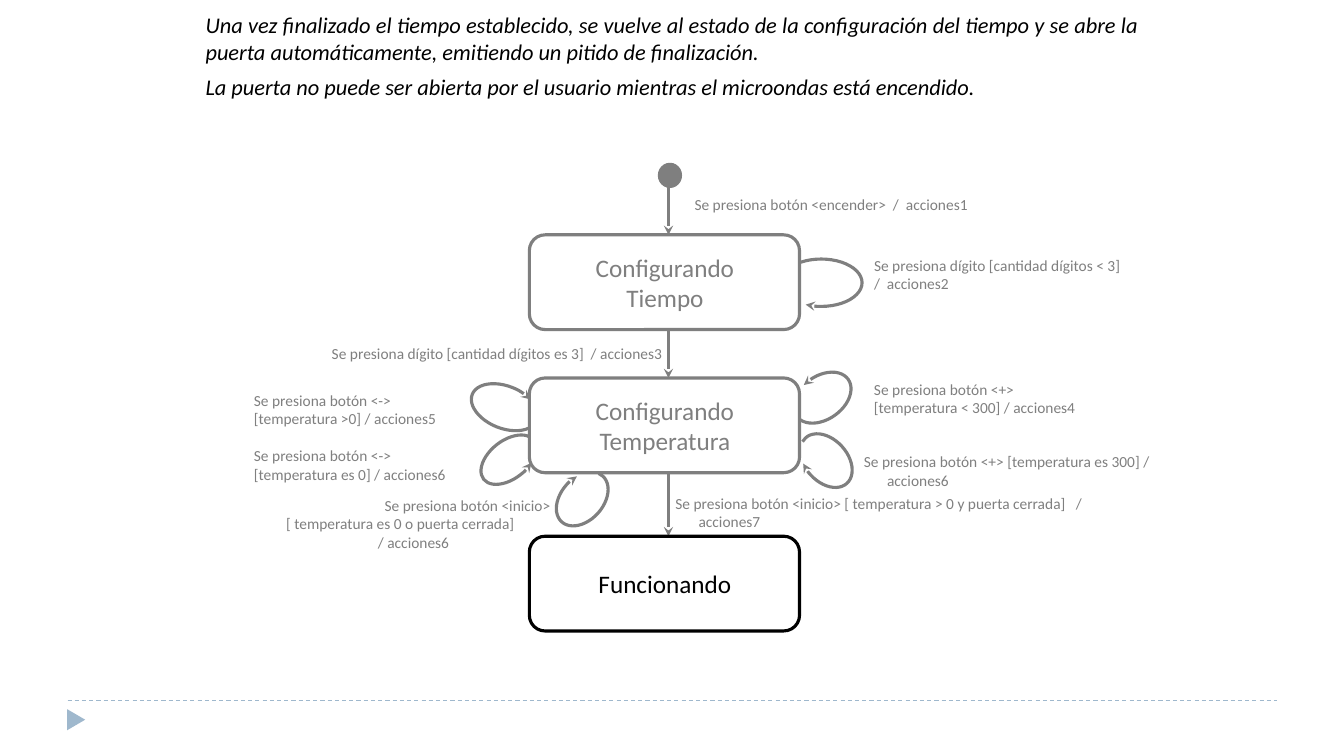
from pptx import Presentation
from pptx.dml.color import RGBColor
from pptx.enum.dml import MSO_LINE
from pptx.enum.shapes import MSO_CONNECTOR, MSO_SHAPE
from pptx.enum.text import MSO_ANCHOR, MSO_AUTO_SIZE, PP_ALIGN
from pptx.oxml.ns import qn
from pptx.util import Inches, Pt
from lxml.etree import SubElement

GRAY = RGBColor(0x7F, 0x7F, 0x7F)
BLACK = RGBColor(0, 0, 0)
BLUE = RGBColor(0x9F, 0xB8, 0xCD)
FONT = "Calibri"

STATE_X, STATE_W, STATE_H = 5.25, 2.68, 0.94
FLOW_X = 6.63
RIGHT = PP_ALIGN.RIGHT


def add_arrowhead(line, end):
    SubElement(line._get_or_add_ln(), qn(f"a:{end}"), type="stealth")


def format_line(line, color, width=2.25):
    line.color.rgb = color
    line.width = Pt(width)


def write_paragraph(p, text, size=11, color=GRAY, align=PP_ALIGN.LEFT,
                    italic=False, margin=0.24, indent=-0.23, before=0):
    p.alignment = align
    p.space_before = Pt(before)
    pPr = p._p.get_or_add_pPr()
    pPr.set("marL", str(Inches(margin)))
    pPr.set("indent", str(Inches(indent)))
    r = p.add_run()
    r.text = text
    r.font.name = FONT
    r.font.size = Pt(size)
    r.font.italic = italic
    r.font.color.rgb = color


def write_lines(tf, lines, **fmt):
    """Each line is a text, or a text with its own format."""
    tf.word_wrap = True
    for i, line in enumerate(lines):
        text, own = (line, {}) if isinstance(line, str) else line
        p = tf.add_paragraph() if i else tf.paragraphs[0]
        write_paragraph(p, text, **{**fmt, **own})


def add_label(s, x, y, w, h, *lines, **fmt):
    tf = s.shapes.add_textbox(Inches(x), Inches(y), Inches(w), Inches(h)).text_frame
    tf.auto_size = MSO_AUTO_SIZE.SHAPE_TO_FIT_TEXT
    write_lines(tf, lines, **fmt)


def add_preset(s, kind, x, y, w, h, fill=None):
    sp = s.shapes.add_shape(kind, Inches(x), Inches(y), Inches(w), Inches(h))
    sp.shadow.inherit = False
    if fill is None:
        sp.fill.background()
    else:
        sp.fill.solid()
        sp.fill.fore_color.rgb = fill
    return sp


def add_state(s, y, *lines, color=GRAY):
    sp = add_preset(s, MSO_SHAPE.ROUNDED_RECTANGLE, STATE_X, y, STATE_W, STATE_H)
    format_line(sp.line, color)
    sp.text_frame.vertical_anchor = MSO_ANCHOR.MIDDLE
    write_lines(sp.text_frame, lines, size=18, color=color, align=PP_ALIGN.CENTER)


def add_loop(s, x, y, w, h, start, end, rotation=0, flip=False):
    sp = add_preset(s, MSO_SHAPE.ARC, x, y, w, h)
    sp.adjustments[0] = start
    sp.adjustments[1] = end
    sp.rotation = rotation
    if flip:
        sp._element.spPr.find(qn("a:xfrm")).set("flipH", "1")
    format_line(sp.line, GRAY)
    add_arrowhead(sp.line, "headEnd")


def add_line(s, x1, y1, x2, y2, color, width):
    c = s.shapes.add_connector(MSO_CONNECTOR.STRAIGHT, Inches(x1), Inches(y1),
                               Inches(x2), Inches(y2))
    format_line(c.line, color, width)
    SubElement(c._element.spPr, qn("a:effectLst"))
    return c


def add_transition(s, y1, y2):
    c = add_line(s, FLOW_X, y1, FLOW_X, y2, GRAY, 2.25)
    add_arrowhead(c.line, "tailEnd")


def add_footer(s):
    rule = add_line(s, 0.67, 6.95, 12.67, 6.95, BLUE, 0.75)
    rule.line.dash_style = MSO_LINE.DASH
    marker = add_preset(s, MSO_SHAPE.ISOSCELES_TRIANGLE, 0.65, 7.05, 0.21, 0.18, BLUE)
    marker.rotation = 90
    marker.line.fill.background()


def main():
    prs = Presentation()
    prs.slide_width, prs.slide_height = Inches(13.33), Inches(7.5)
    s = prs.slides.add_slide(prs.slide_layouts[6])
    add_footer(s)

    # Description
    add_label(s, 1.94, 0.06, 9.45, 0.99,
              "Una vez finalizado el tiempo establecido, se vuelve al estado de la "
              "configuración del tiempo y se abre la puerta automáticamente, "
              "emitiendo un pitido de finalización.",
              ("La puerta no puede ser abierta por el usuario mientras el "
               "microondas está encendido.", {"before": 6}),
              size=16, color=BLACK, align=PP_ALIGN.JUSTIFY, italic=True,
              margin=0, indent=0)

    # Initial state and transitions
    initial = add_preset(s, MSO_SHAPE.OVAL, 6.53, 1.62, 0.23, 0.24, GRAY)
    format_line(initial.line, GRAY, 0.75)
    for y1, y2 in ((1.86, 2.33), (3.28, 3.75), (4.69, 5.32)):
        add_transition(s, y1, y2)

    # Loops back to the same state
    add_loop(s, 7.74, 2.57, 0.81, 0.47, 32.8, 188.99, flip=True)
    add_loop(s, 5.47, 4.74, 0.61, 0.42, 33.11, 5.47, 131.8, flip=True)
    add_loop(s, 4.66, 3.83, 0.69, 0.42, 23.19, 204.48, 201.8, flip=True)
    add_loop(s, 7.89, 4.36, 0.61, 0.42, 33.11, 5.47, 47.8, flip=True)
    add_loop(s, 4.73, 4.37, 0.63, 0.38, 27.66, 210.5, 322)
    add_loop(s, 7.84, 3.73, 0.63, 0.43, 41.85, 210.5, 144.6)

    # States
    add_state(s, 2.33, "Configurando", "Tiempo")
    add_state(s, 3.75, "Configurando", "Temperatura")
    add_state(s, 5.32, "Funcionando", color=BLACK)

    # Transition labels
    add_label(s, 6.78, 1.89, 3.67, 0.29, "Se presiona botón <encender>  /  acciones1")
    add_label(s, 8.56, 2.49, 2.89, 0.47,
              "Se presiona dígito [cantidad dígitos < 3]", "/  acciones2")
    add_label(s, 2.65, 3.36, 4.02, 0.29,
              "Se presiona dígito [cantidad dígitos es 3]  / acciones3", align=RIGHT)
    add_label(s, 8.56, 3.72, 2.6, 0.47,
              "Se presiona botón <+>", "[temperatura < 300] / acciones4")
    add_label(s, 2.41, 3.83, 2.2, 0.47,
              "Se presiona botón <->", "[temperatura >0] / acciones5")
    add_label(s, 2.41, 4.38, 2.28, 0.47,
              "Se presiona botón <->", "[temperatura es 0] / acciones6")
    add_label(s, 8.46, 4.44, 3.44, 0.47,
              "Se presiona botón <+> [temperatura es 300] / acciones6")
    add_label(s, 6.59, 4.85, 4.8, 0.47,
              "Se presiona botón <inicio> [ temperatura > 0 y puerta cerrada]   / acciones7")
    add_label(s, 2.23, 4.87, 3.33, 0.66,
              ("Se presiona botón <inicio>", {"align": RIGHT}),
              ("[ temperatura es 0 o puerta cerrada]", {"margin": 0.51, "indent": 0}),
              ("/ acciones6", {"margin": 1.42, "indent": 0}))

    prs.save("out.pptx")


if __name__ == "__main__":
    main()
